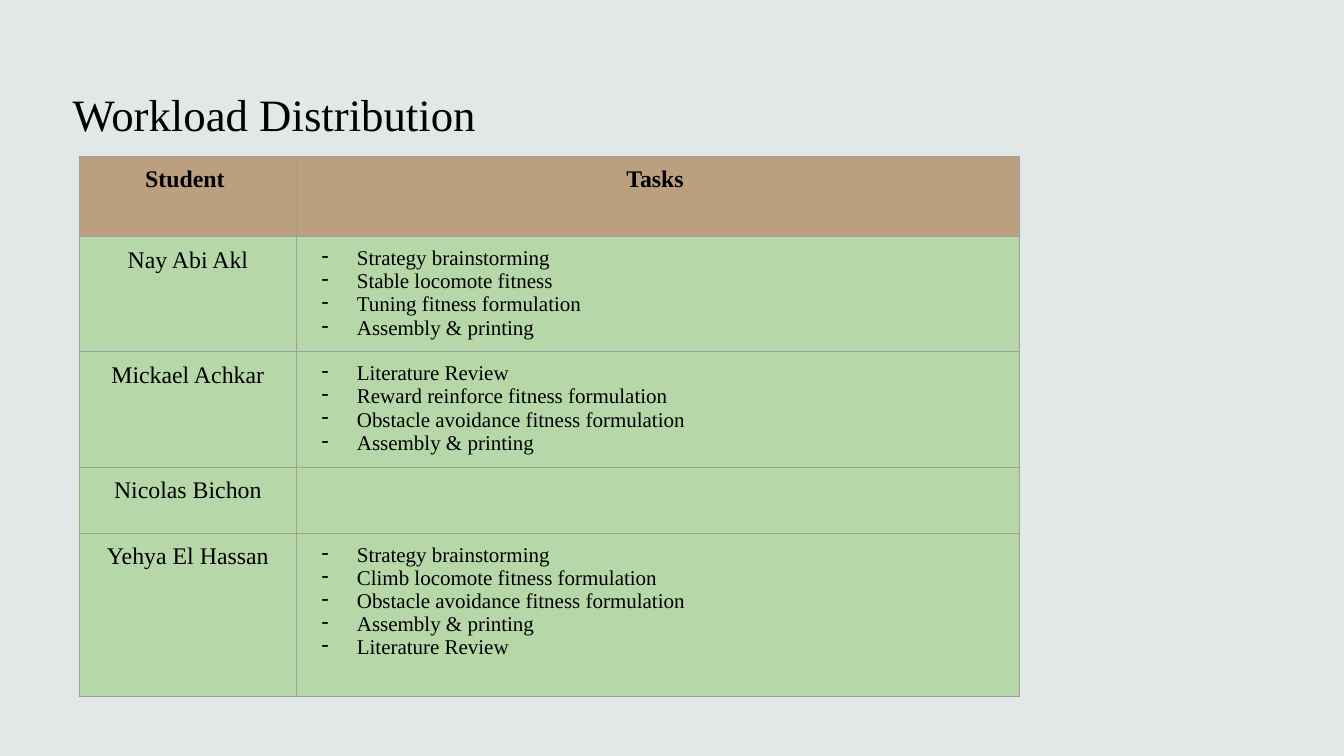
from pptx import Presentation
from pptx.dml.color import RGBColor
from pptx.enum.text import MSO_ANCHOR, PP_ALIGN
from pptx.oxml.ns import qn
from pptx.util import Pt
from lxml import etree

BOTTOM = MSO_ANCHOR.BOTTOM
LEFT, CENTER = PP_ALIGN.LEFT, PP_ALIGN.CENTER

STAFF = [
    ("Nay Abi Akl", 82.2, [
        "Strategy brainstorming",
        "Stable locomote fitness",
        "Tuning fitness formulation",
        "Assembly & printing",
    ]),
    ("Mickael Achkar", 82.2, [
        "Literature Review",
        "Reward reinforce fitness formulation",
        "Obstacle avoidance fitness formulation",
        "Assembly & printing",
    ]),
    ("Nicolas Bichon", 47.5, []),
    ("Yehya El Hassan", 116.5, [
        "Strategy brainstorming",
        "Climb locomote fitness formulation",
        "Obstacle avoidance fitness formulation",
        "Assembly & printing",
        "Literature Review",
    ]),
]


def paint(code):
    return RGBColor.from_string(code)


def add(node, tag, **attrs):
    return etree.SubElement(node, qn(tag), attrs)


class Deck:
    face = "Times New Roman"
    ink = "000000"
    tan = "BAA07F"
    green = "B6D7A8"
    gray = "9E9E9E"
    olive = "A6A57E"

    def __init__(self, wide, high):
        self.file = Presentation()
        self.file.slide_width, self.file.slide_height = Pt(wide), Pt(high)
        self.slide = self.file.slides.add_slide(self.file.slide_layouts[5])
        fill = self.slide.background.fill
        fill.solid()
        fill.fore_color.rgb = paint("E2E7E8")

    def style(self, para, size, align, bold=False):
        para.alignment = align
        font = para.font
        font.name, font.size, font.bold = self.face, Pt(size), bold
        font.color.rgb = paint(self.ink)

    def title(self, text, x, y, w, h):
        box = self.slide.shapes.title
        box.left, box.top, box.width, box.height = Pt(x), Pt(y), Pt(w), Pt(h)
        frame = box.text_frame
        frame.text = text
        frame.vertical_anchor = BOTTOM
        self.style(frame.paragraphs[0], 32, LEFT)

    def edge(self, cell, side, color):
        line = add(cell._tc.get_or_add_tcPr(), "a:ln" + side, w=str(Pt(0.75)))
        add(add(line, "a:solidFill"), "a:srgbClr", val=color)

    def cell(self, cell, fill, edges):
        for side, color in zip("LRTB", edges):
            self.edge(cell, side, color)
        cell.fill.solid()
        cell.fill.fore_color.rgb = paint(fill)
        cell.margin_left = cell.margin_right = Pt(7.2)
        cell.margin_top = cell.margin_bottom = Pt(7.2)

    def label(self, cell, text, bold=False):
        cell.text = text
        self.style(cell.text_frame.paragraphs[0], 17, CENTER, bold)

    def bullets(self, cell, items):
        cell.text = "\n".join(items)
        for para in cell.text_frame.paragraphs:
            if items:
                prop = para._p.get_or_add_pPr()
                prop.set("marL", str(Pt(36)))
                prop.set("indent", str(Pt(-25.2)))
                add(add(prop, "a:buClr"), "a:srgbClr", val=self.ink)
                add(prop, "a:buChar", char="-")
            self.style(para, 15, LEFT)

    def table(self, x, y, cols, head, staff):
        highs = [57.6] + [high for _, high, _ in staff]
        frame = self.slide.shapes.add_table(
            len(highs), len(cols), Pt(x), Pt(y), Pt(sum(cols)), Pt(sum(highs)))
        grid = frame.table
        for col, wide in zip(grid.columns, cols):
            col.width = Pt(wide)
        bare = [i for i, row in enumerate(staff, 1) if not row[2]]
        for i, high in enumerate(highs):
            grid.rows[i].height = Pt(high)
            side = self.olive if i in bare else self.gray
            top = self.olive if i - 1 in bare else side
            base = self.olive if i + 1 in bare else side
            for cell in grid.rows[i].cells:
                self.cell(cell, self.green if i else self.tan,
                          (side, side, top, base))
        for cell, text in zip(grid.rows[0].cells, head):
            self.label(cell, text, True)
        for i, (name, _, tasks) in enumerate(staff, 1):
            self.label(grid.cell(i, 0), name)
            self.bullets(grid.cell(i, 1), tasks)

    def save(self):
        self.file.save("out.pptx")


def main():
    deck = Deck(960, 540)
    deck.title("Workload Distribution", 44.6, 15.8, 804, 88)
    deck.table(56.7, 111.6, (155, 516.7), ("Student ", "Tasks "), STAFF)
    deck.save()


if __name__ == "__main__":
    main()
